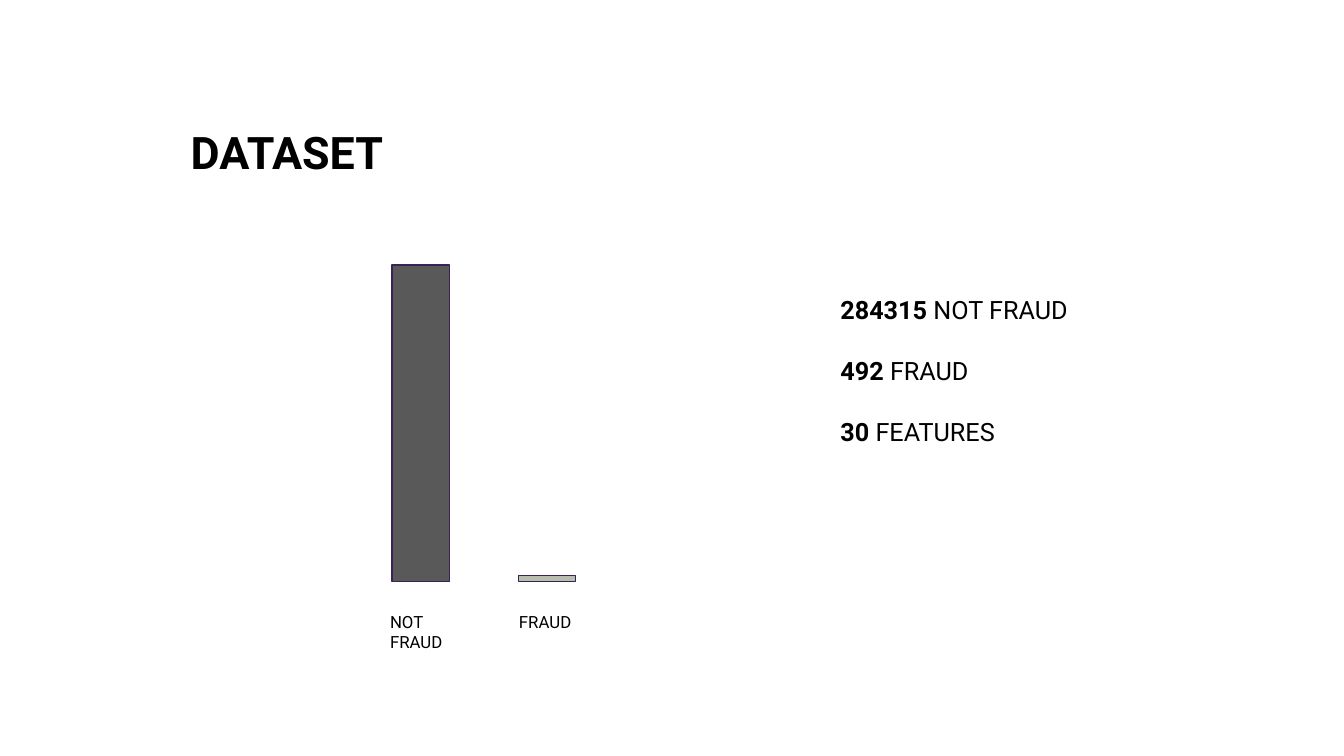
from pptx import Presentation
from pptx.dml.color import RGBColor
from pptx.enum.shapes import MSO_SHAPE
from pptx.enum.text import MSO_ANCHOR, PP_ALIGN
from pptx.util import Cm, Pt

BLACK = RGBColor(0x00, 0x00, 0x00)
GRAY = RGBColor(0x59, 0x59, 0x59)
SAGE = RGBColor(0xB8, 0xBD, 0xAD)
PURPLE = RGBColor(0x3B, 0x22, 0x55)


def style(paragraph, size, bold=None):
    paragraph.alignment = PP_ALIGN.LEFT
    paragraph.font.name = "Roboto"
    paragraph.font.size = Pt(size)
    paragraph.font.color.rgb = BLACK
    paragraph.font.bold = bold


def add_text_box(page, left, top, width, height):
    box = page.shapes.add_textbox(Cm(left), Cm(top), Cm(width), Cm(height))
    box.text_frame.word_wrap = True
    return box


deck = Presentation()
deck.slide_width = Cm(33.87)
deck.slide_height = Cm(19.05)
page = deck.slides.add_slide(deck.slide_layouts[5])

title = page.shapes.title
title.left, title.top = Cm(4.55), Cm(1.91)
title.width, title.height = Cm(24.77), Cm(3.81)
title.text_frame.text = "DATASET"
title.text_frame.vertical_anchor = MSO_ANCHOR.MIDDLE
style(title.text_frame.paragraphs[0], 32, True)

BASELINE = 14.66
bars = [
    ("NOT FRAUD", 9.88, 7.98, GRAY, 9.58, 1.27),
    ("FRAUD", 13.06, 0.15, SAGE, 12.83, 0.76),
]
for name, left, height, color, label_left, label_height in bars:
    bar = page.shapes.add_shape(
        MSO_SHAPE.RECTANGLE, Cm(left), Cm(BASELINE - height), Cm(1.45), Cm(height)
    )
    bar.shadow.inherit = False
    bar.fill.solid()
    bar.fill.fore_color.rgb = color
    bar.line.color.rgb = PURPLE
    bar.line.width = Pt(1)

    label = add_text_box(page, label_left, 15.29, 2.36, label_height)
    label.text_frame.text = name
    style(label.text_frame.paragraphs[0], 12)

facts = [("284315", "NOT FRAUD"), ("492", "FRAUD"), ("30", "FEATURES")]
frame = add_text_box(page, 20.93, 7.29, 8.71, 4.11).text_frame
for index, (count, caption) in enumerate(facts):
    para = frame.add_paragraph() if index else frame.paragraphs[0]
    style(para, 18)
    if index:
        para.space_before = Pt(22)
    for text, bold in ((count, True), (f" {caption}", False)):
        span = para.add_run()
        span.text = text
        span.font.name = "Roboto"
        span.font.size = Pt(18)
        span.font.color.rgb = BLACK
        span.font.bold = bold

deck.save("out.pptx")
